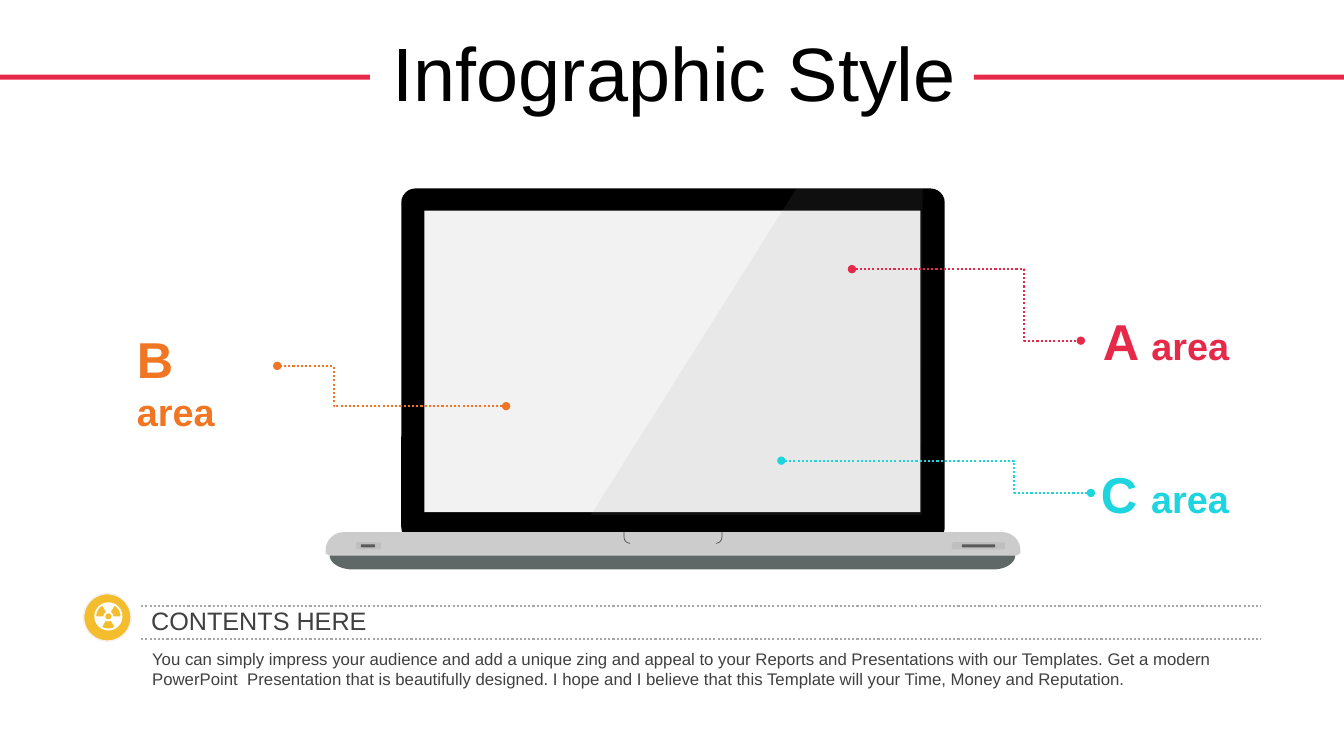
import math

import pptx
import pptx.dml.color
import pptx.enum.dml
import pptx.enum.shapes
import pptx.enum.text
import pptx.oxml
import pptx.oxml.ns
import pptx.util
from pptx.util import Inches

SHAPE = pptx.enum.shapes.MSO_SHAPE
FONT = "Arial"
RED, ORANGE, CYAN, YELLOW = "E62949", "F07624", "1ED4DE", "F4BD2D"
WHITE, BLACK, TEXT_GREY, RULE_GREY = "FFFFFF", "000000", "404040", "A6A6A6"


def rgb(color):
    return pptx.dml.color.RGBColor.from_string(color)


def paint(shape, fill=None, line=None, width=1):
    shape.shadow.inherit = False
    if fill:
        shape.fill.solid()
        shape.fill.fore_color.rgb = rgb(fill)
    else:
        shape.fill.background()
    if line:
        shape.line.color.rgb = rgb(line)
        shape.line.width = pptx.util.Pt(width)
    else:
        shape.line.fill.background()
    return shape


def add_preset(slide, kind, x, y, w, h, fill, **outline):
    shape = slide.shapes.add_shape(kind, Inches(x), Inches(y), Inches(w), Inches(h))
    return paint(shape, fill, **outline)


def add_outline(slide, left, top, contours, close=True):
    """Freeform whose contours are measured in inches from (left, top)."""
    placed = [[(Inches(left + x), Inches(top + y)) for x, y in contour] for contour in contours]
    builder = slide.shapes.build_freeform(*placed[0][0])
    builder.add_line_segments(placed[0][1:], close=close)
    for contour in placed[1:]:
        builder.move_to(*contour[0])
        builder.add_line_segments(contour[1:], close=close)
    return builder.convert_to_shape()


def arc(cx, cy, rx, ry, start, end, steps=12):
    """Points on an ellipse; angles in degrees, clockwise from the right."""
    angles = [math.radians(start + (end - start) * i / steps) for i in range(steps + 1)]
    return [(cx + rx * math.cos(a), cy + ry * math.sin(a)) for a in angles]


def dot_line(line, color):
    line.color.rgb = rgb(color)
    line.width = pptx.util.Pt(1.5)
    line.dash_style = pptx.enum.dml.MSO_LINE.ROUND_DOT


def add_text(slide, x, y, w, h, runs, color, bold=False):
    """Runs are (text, size) pairs in a single paragraph."""
    box = slide.shapes.add_textbox(Inches(x), Inches(y), Inches(w), Inches(h))
    box.text_frame.word_wrap = True
    paragraph = box.text_frame.paragraphs[0]
    paragraph.font.name = FONT
    paragraph.font.bold = bold
    paragraph.font.color.rgb = rgb(color)
    for text, size in runs:
        run = paragraph.add_run()
        run.text = text
        run.font.size = pptx.util.Pt(size)
    return box


def add_title(slide, x, y, w, h):
    # Bars on both sides of the heading
    bar_width = 3.67
    for bar_x in (x, x + w - bar_width):
        add_preset(slide, SHAPE.RECTANGLE, bar_x, y + 0.43, bar_width, 0.05, RED)
    heading = add_text(slide, x + 0.36, y - 0.01, w - 0.67, h, [("Infographic Style", 54)], BLACK)
    heading.text_frame.vertical_anchor = pptx.enum.text.MSO_ANCHOR.MIDDLE
    paragraph = heading.text_frame.paragraphs[0]
    paragraph.alignment = pptx.enum.text.PP_ALIGN.CENTER
    paragraph.line_spacing = 0.9
    paragraph.space_before = pptx.util.Pt(10)


def add_laptop(slide, x, y, w, h):
    base_y = h - 0.37
    # Underside, lid and screen
    underside = arc(w - 0.27, h - 0.14, 0.22, 0.14, 0, 90) + arc(0.27, h - 0.14, 0.23, 0.14, 90, 180)
    paint(add_outline(slide, x, y, [underside]), "5F6767")
    lid = add_preset(slide, SHAPE.ROUNDED_RECTANGLE, x + 0.75, y, w - 1.5, 3.5, BLACK)
    lid.adjustments[0] = 0.04
    add_preset(slide, SHAPE.RECTANGLE, x + 0.98, y + 0.22, 4.92, 2.99, "F2F2F2")

    # Base with its opening notch
    radius = 0.18
    base = (arc(radius, base_y + radius, radius, radius, 180, 270)
            + arc(w - radius, base_y + radius, radius, radius, 270, 360)
            + [(w, base_y + 0.21), (w - 0.03, base_y + 0.23),
               (0.03, base_y + 0.23), (0, base_y + 0.21)])
    paint(add_outline(slide, x, y, [base]), "CCCCCC")
    notch = [[(2.96, base_y)] + arc(3.02, base_y + 0.05, 0.06, 0.06, 180, 90),
             [(3.93, base_y)] + arc(3.87, base_y + 0.05, 0.06, 0.06, 0, 90)]
    paint(add_outline(slide, x, y, notch, close=False), line="4D4D4D", width=0.5)

    # Ports: light socket around a dark slot
    for socket_x, socket_w, slot_x, slot_w in ((0.3, 0.25, 0.35, 0.14), (6.21, 0.53, 6.31, 0.33)):
        for part_x, part_y, part_w, part_h, color in (
                (socket_x, 0.1, socket_w, 0.07, "BFBFBF"),
                (slot_x, 0.12, slot_w, 0.03, "595959")):
            part = add_preset(slide, SHAPE.ROUNDED_RECTANGLE, x + part_x, y + base_y + part_y,
                              part_w, part_h, color)
            part.adjustments[0] = 0.28

    # Transparent glare
    glare = paint(add_outline(slide, x, y, [[(4.67, 0), (5.92, 0), (5.91, 3.24), (2.63, 3.24)]]), "999999")
    color = glare._element.spPr.find(".//" + pptx.oxml.ns.qn("a:srgbClr"))
    color.append(pptx.oxml.parse_xml(
        '<a:alpha %s val="10000"/>' % pptx.oxml.ns.nsdecls("a")))


def add_callout(slide, x, y, w, h, bend, color):
    """Stepped dotted line from (x, y) across w and h, turning at bend."""
    steps = [(0, 0), (bend, 0), (bend, h), (w, h)]
    callout = paint(add_outline(slide, x, y, [steps], close=False))
    dot_line(callout.line, color)
    line_xml = callout.line._get_or_add_ln()
    for end in ("headEnd", "tailEnd"):
        line_xml.append(pptx.oxml.parse_xml(
            '<a:%s %s type="oval"/>' % (end, pptx.oxml.ns.nsdecls("a"))))


def add_radiation_badge(slide, x, y, size):
    add_preset(slide, SHAPE.OVAL, x, y, size, size, YELLOW, line="F2F2F2")
    cx, cy = x + size / 2 + 0.01, y + size / 2 - 0.01
    for radius, color in ((0.14, WHITE), (0.03, YELLOW)):
        add_preset(slide, SHAPE.OVAL, cx - radius, cy - radius, 2 * radius, 2 * radius, color)
    blades = [arc(0, 0, 0.12, 0.12, middle - 30, middle + 30)
              + arc(0, 0, 0.05, 0.05, middle + 30, middle - 30)
              for middle in (90, 210, 330)]
    paint(add_outline(slide, cx, cy, blades), YELLOW)


def add_contents(slide, x, y, w, h):
    add_radiation_badge(slide, x, y, 0.47)
    text_x = x + 0.57
    text_w = w - 0.57
    add_text(slide, text_x + 0.01, y + 0.5, text_w, h - 0.5, [(
        "You can simply impress your audience and add a unique zing and appeal to your Reports and "
        "Presentations with our Templates. Get a modern PowerPoint  Presentation that is beautifully "
        "designed. I hope and I believe that this Template will your Time, Money and Reputation.", 12)],
        TEXT_GREY)
    add_text(slide, text_x, y + 0.07, text_w, 0.4, [("CONTENTS HERE", 18)], TEXT_GREY)
    for rule_y in (y + 0.12, y + 0.45):
        rule = slide.shapes.add_connector(
            pptx.enum.shapes.MSO_CONNECTOR.STRAIGHT,
            Inches(text_x), Inches(rule_y), Inches(text_x + text_w), Inches(rule_y))
        dot_line(rule.line, RULE_GREY)
        rule._element.spPr.append(pptx.oxml.parse_xml(
            "<a:effectLst %s/>" % pptx.oxml.ns.nsdecls("a")))


def main():
    deck = pptx.Presentation()
    deck.slide_width, deck.slide_height = Inches(13.33), Inches(7.5)
    slide = deck.slides.add_slide(deck.slide_layouts[6])
    add_title(slide, 0, 0.31, 13.33, 0.92)
    add_laptop(slide, 3.23, 1.87, 6.89, 3.78)

    # Area labels and the lines that lead to them
    for letter, color, label_box, callout_box in (
            ("A", RED, (10.84, 3.03, 1.5, 0.71), (8.45, 2.67, 2.27, 0.71, 1.71)),
            ("B", ORANGE, (1.26, 3.21, 1.3, 0.71), (5.02, 4.03, -2.27, -0.4, -1.71)),
            ("C", CYAN, (10.82, 4.54, 1.5, 0.71), (7.75, 4.57, 3.07, 0.32, 2.31))):
        add_text(slide, *label_box, [(letter + " ", 36), ("area", 27)], color, bold=True)
        add_callout(slide, *callout_box, color)

    add_contents(slide, 0.83, 5.89, 11.68, 1)
    deck.save("out.pptx")


if __name__ == "__main__":
    main()
